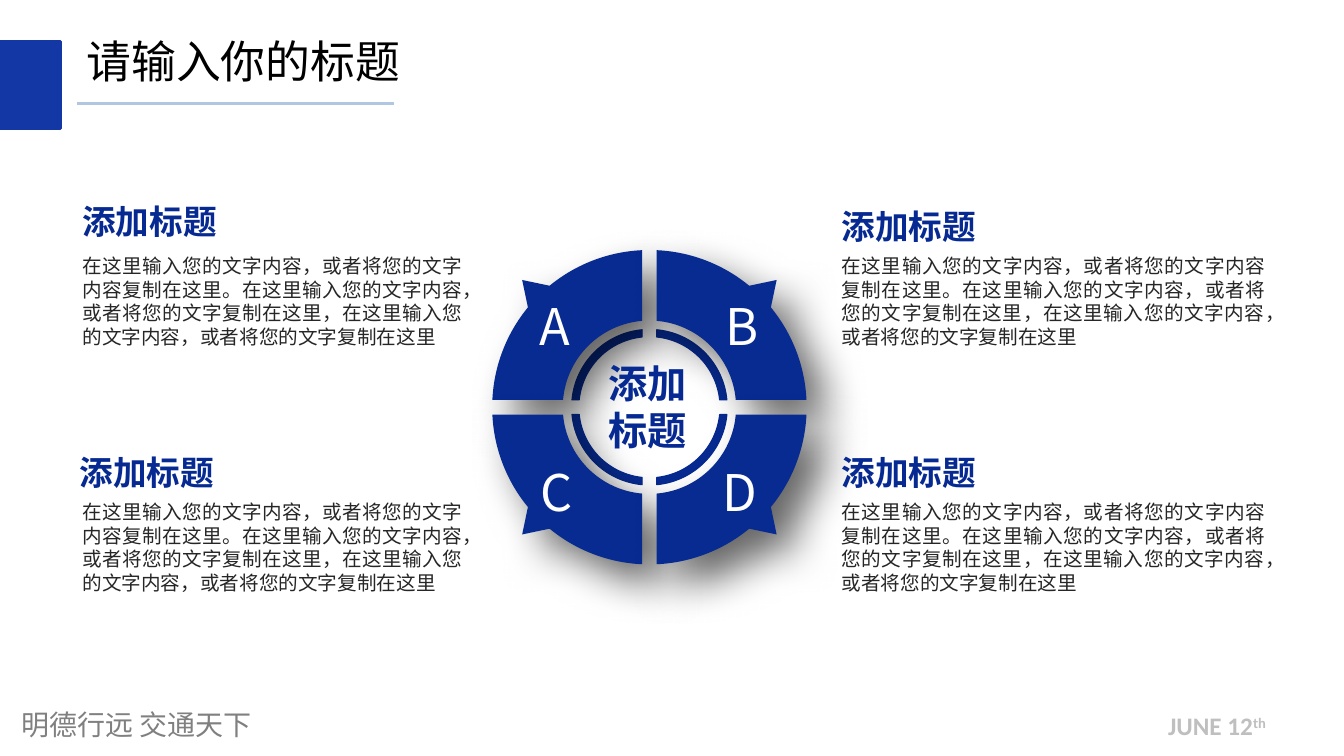
from math import asin, cos, pi, radians, sin, tan

from lxml.etree import SubElement
from pptx import Presentation
from pptx.dml.color import RGBColor
from pptx.enum.shapes import MSO_CONNECTOR as CONN, MSO_SHAPE as SHAPE
from pptx.enum.text import MSO_ANCHOR as ANCHOR, PP_ALIGN as ALIGN
from pptx.oxml.ns import qn
from pptx.util import Pt

NAVY = "062A92"
BLUE = "072B91"
SANS = "Noto Sans CJK SC"
HEAD = "添加标题"
BODY = ("在这里输入您的文字内容，或者将您的文字内容复制在这里。"
        "在这里输入您的文字内容，或者将您的文字复制在这里，"
        "在这里输入您的文字内容，或者将您的文字复制在这里")


def color(code):
    return RGBColor.from_string(code)


def label(text, x, y, w, h, size, code, bold=False, align=ALIGN.LEFT,
          face=SANS, wrap=True):
    box = slide.shapes.add_textbox(Pt(x), Pt(y), Pt(w), Pt(h))
    frame = box.text_frame
    frame.word_wrap = wrap
    frame.text = text
    para = frame.paragraphs[0]
    para.alignment = align
    para.line_spacing = Pt(size * 1.2)
    font = para.runs[0].font
    font.name, font.size, font.bold = face, Pt(size), bold
    font.color.rgb = color(code)
    SubElement(para.runs[0]._r.get_or_add_rPr(), qn("a:ea"), typeface=face)
    return frame


deck = Presentation()
deck.slide_width, deck.slide_height = Pt(960), Pt(540)
slide = deck.slides.add_slide(deck.slide_layouts[6])
shapes = slide.shapes

# Footer
label("明德行远 交通天下", 8.2, 501.8, 283.7, 31.7, 20, "808080",
      face="Noto Sans CJK JP")
date = label("JUNE 12", 827.3, 504, 86.4, 28.8, 18, "BFBFBF", True,
             face="Calibri", wrap=False)
first = date.paragraphs[0].runs[0].font
tail = date.paragraphs[0].add_run()
tail.text = "th"
tail.font.name, tail.font.size, tail.font.bold = first.name, first.size, True
tail.font.color.rgb = first.color.rgb
tail._r.get_or_add_rPr().set("baseline", "30000")

# Wheel outlines for the lower right quarter, relative to the centre:
# a start point, then three points for every curve or edge
MID_X, MID_Y, GAP = 463.9, 290.9, 5.2
half, low, high = pi / 4, radians(39.4), radians(50.6)
outlines = []
for inner, outer, tip in [(50.4, 55.6, 0), (61.9, 112.3, 128.5)]:
    a, b = asin(GAP / inner), asin(GAP / outer)
    sweep = [(inner, a, half), (inner, half, pi / 2 - a)]
    if tip:
        sweep += [(outer, pi / 2 - b, high), (tip, half, half),
                  (outer, low, b)]
    else:
        sweep += [(outer, pi / 2 - b, half), (outer, half, b)]
    pts = [(inner * cos(a), inner * sin(a))]
    for rad, t, u in sweep:
        k = 4 / 3 * tan((u - t) / 4) * rad
        ct, st, cu, su = cos(t), sin(t), cos(u), sin(u)
        head, end = (rad * ct, rad * st), (rad * cu, rad * su)
        if abs(head[0] - pts[-1][0]) + abs(head[1] - pts[-1][1]) > 0.01:
            pts += [head] * 3
        if t != u:
            pts += [(head[0] - k * st, head[1] + k * ct),
                    (end[0] + k * su, end[1] - k * cu), end]
    outlines.append(pts)
thin, wedge = outlines

# Thin inner ring first, then the four wedges
signs = [(-1, -1), (-1, 1), (1, -1), (1, 1)]
for outline, group in [(thin, signs)] + [(wedge, [s]) for s in signs]:
    pen = None
    for sx, sy in group:
        pts = [(Pt(MID_X + sx * x), Pt(MID_Y + sy * y)) for x, y in outline]
        if pen is None:
            pen = shapes.build_freeform(*pts[0])
        else:
            pen.move_to(*pts[0])
        pen.add_line_segments(pts[1:], close=True)
    part = pen.convert_to_shape()
    # Join each three points into one curve
    edges = list(part._element.iter(qn("a:lnTo")))
    for i in range(0, len(edges), 3):
        curve = edges[i].makeelement(qn("a:cubicBezTo"))
        edges[i].addprevious(curve)
        for edge in edges[i:i + 3]:
            curve.append(edge[0])
            edge.getparent().remove(edge)
    part.shadow.inherit = False
    part.fill.solid()
    part.fill.fore_color.rgb = color(BLUE)
    if outline is thin:
        part.line.color.rgb = color(NAVY)
        part.line.width = Pt(0.75)
        continue
    part.line.fill.background()
    effect = part._element.spPr.find(qn("a:effectLst"))
    shade = SubElement(effect, qn("a:outerShdw"), blurRad=str(Pt(30)),
                       dist=str(Pt(20)), dir="2700000", algn="tl",
                       rotWithShape="0")
    black = SubElement(shade, qn("a:srgbClr"), val="000000")
    SubElement(black, qn("a:alpha"), val="60000")

# Wheel labels
label(HEAD, 419.4, 253.4, 86.4, 74.9, 28, NAVY, True, ALIGN.CENTER)
for text, x, y, w in [("A", 379.4, 207.4, 37.4), ("B", 512.6, 207.4, 34.6),
                      ("C", 380.2, 326.4, 36.7), ("D", 510, 326.4, 39.6)]:
    frame = label(text, x, y, w, 49.7, 36, "FFFFFF", wrap=False)
    frame.vertical_anchor = ANCHOR.MIDDLE
    frame.margin_left = frame.margin_right = Pt(5.8)
    frame.margin_top = frame.margin_bottom = Pt(2.9)

# Four text blocks
for hx, hy, x, y, w in [(51.8, 139.7, 51.8, 177.8, 285.8),
                        (594, 143.6, 594, 177.8, 316.8),
                        (49.7, 319.4, 51.8, 353.5, 285.8),
                        (594, 319.4, 594, 353.5, 316.8)]:
    label(HEAD, hx, hy, 240.5, 36, 24, NAVY, True)
    label(BODY, x, y, w, 92.2, 14, "262626", align=ALIGN.JUSTIFY)

# Slide title
block = shapes.add_shape(SHAPE.RECTANGLE, 0, Pt(29.5), Pt(43.2), Pt(62.6))
block.shadow.inherit = False
block.fill.solid()
block.fill.fore_color.rgb = block.line.color.rgb = color("1437A6")
block.line.width = Pt(2)
label("请输入你的标题", 54.7, 20.9, 240.5, 46.1, 32, "000000", wrap=False)
rule = shapes.add_connector(CONN.STRAIGHT, Pt(54.7), Pt(74.2), Pt(281.5), Pt(74.2))
rule.line.color.rgb = color("B0C6E1")
rule.line.width = Pt(2.25)
SubElement(rule._element.spPr, qn("a:effectLst"))

deck.save("out.pptx")
